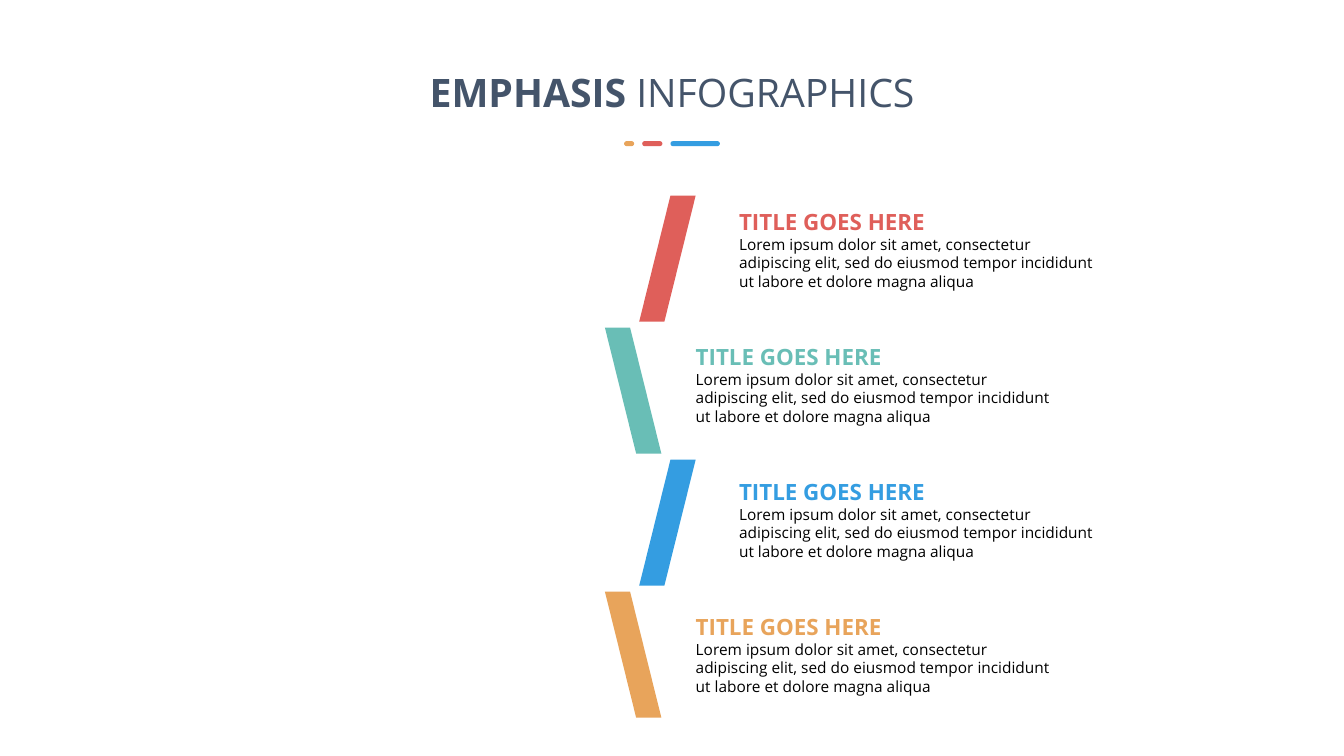
from pptx import Presentation
from pptx.dml.color import RGBColor
from pptx.enum.shapes import MSO_SHAPE
from pptx.enum.text import MSO_ANCHOR, MSO_AUTO_SIZE, PP_ALIGN
from pptx.util import Emu, Pt

EMU_PER_PX = 9144  # 100 px to the inch

RED = RGBColor(0xDF, 0x5F, 0x5A)
TEAL = RGBColor(0x69, 0xBE, 0xB6)
BLUE = RGBColor(0x34, 0x9D, 0xE1)
ORANGE = RGBColor(0xE8, 0xA4, 0x5B)
SLATE = RGBColor(0x44, 0x54, 0x6A)
BLACK = RGBColor(0, 0, 0)

STEP_COLORS = (RED, TEAL, BLUE, ORANGE)
STEP_TITLE = "TITLE GOES HERE"
STEP_BODY = (
    "Lorem ipsum dolor sit amet, consectetur adipiscing elit, "
    "sed do eiusmod tempor incididunt ut labore et dolore magna aliqua"
)

BAR_TOP, BAR_PITCH = 194, 131
BAR_WIDTH, BAR_HEIGHT, BAR_SLANT = 25, 125, 31
TEXT_TOP, TEXT_PITCH = 206, 134
TEXT_WIDTH, TEXT_HEIGHT = 352, 82

DASHES = ((10, ORANGE), (20, RED), (49, BLUE))
DASH_LEFT, DASH_TOP, DASH_HEIGHT, DASH_GAP = 619, 140, 5, 8

TITLE_FORMAT = {"name": "Open Sans", "size": Pt(28)}
HEADING_FORMAT = {"name": "Open Sans", "size": Pt(16), "bold": True}
BODY_FORMAT = {"name": "Open Sans", "size": Pt(11), "bold": False}


def px(length):
    return Emu(length * EMU_PER_PX)


def paint(shape, color):
    shape.shadow.inherit = False
    shape.fill.solid()
    shape.fill.fore_color.rgb = color
    shape.line.fill.background()


def add_run(paragraph, text, color, font_format):
    run = paragraph.add_run()
    run.text = text
    run.font.color.rgb = color
    for attribute, value in font_format.items():
        setattr(run.font, attribute, value)


def add_text_box(slide, left, top, width, height):
    """Add a wrapping text box and return its text frame."""
    box = slide.shapes.add_textbox(px(left), px(top), px(width), px(height))
    frame = box.text_frame
    frame.word_wrap = True
    frame.auto_size = MSO_AUTO_SIZE.SHAPE_TO_FIT_TEXT
    return frame


def add_title(slide):
    paragraph = add_text_box(slide, 389, 63, 555, 57).paragraphs[0]
    paragraph.alignment = PP_ALIGN.CENTER
    add_run(paragraph, "EMPHASIS ", SLATE, TITLE_FORMAT | {"bold": True})
    add_run(paragraph, "INFOGRAPHICS", SLATE, TITLE_FORMAT | {"bold": False})


def add_dashes(slide):
    group = slide.shapes.add_group_shape()
    left = DASH_LEFT
    for width, color in DASHES:
        dash = group.shapes.add_shape(
            MSO_SHAPE.ROUNDED_RECTANGLE,
            px(left), px(DASH_TOP), px(width), px(DASH_HEIGHT),
        )
        dash.adjustments[0] = 0.5
        paint(dash, color)
        left += width + DASH_GAP


def add_bar(shapes, top_left, bottom_left, top, color):
    bottom = top + BAR_HEIGHT
    builder = shapes.build_freeform(top_left, top, scale=EMU_PER_PX)
    builder.add_line_segments([
        (top_left + BAR_WIDTH, top),
        (bottom_left + BAR_WIDTH, bottom),
        (bottom_left, bottom),
    ])
    paint(builder.convert_to_shape(), color)


def add_zigzag(slide):
    """Stack the bars, leaning right and left in turn."""
    group = slide.shapes.add_group_shape()
    for index, color in enumerate(STEP_COLORS):
        if index % 2 == 0:
            top_left, bottom_left = 634 + BAR_SLANT, 634
        else:
            top_left, bottom_left = 600, 600 + BAR_SLANT
        top = BAR_TOP + index * BAR_PITCH
        add_bar(group.shapes, top_left, bottom_left, top, color)


def add_step_text(slide, left, top, color):
    frame = add_text_box(slide, left, top, TEXT_WIDTH, TEXT_HEIGHT)
    frame.vertical_anchor = MSO_ANCHOR.MIDDLE
    for side in ("left", "top", "right", "bottom"):
        setattr(frame, f"margin_{side}", 0)
    paragraph = frame.paragraphs[0]
    paragraph.space_after = Pt(12)
    add_run(paragraph, STEP_TITLE, color, HEADING_FORMAT)
    paragraph.add_line_break()
    add_run(paragraph, STEP_BODY, BLACK, BODY_FORMAT)


def main():
    presentation = Presentation()
    presentation.slide_width = px(1333)
    presentation.slide_height = px(750)
    slide = presentation.slides.add_slide(presentation.slide_layouts[6])

    add_zigzag(slide)
    for index, color in enumerate(STEP_COLORS):
        left = 733 if index % 2 == 0 else 690
        add_step_text(slide, left, TEXT_TOP + index * TEXT_PITCH, color)
    add_title(slide)
    add_dashes(slide)

    presentation.save("out.pptx")


if __name__ == "__main__":
    main()
